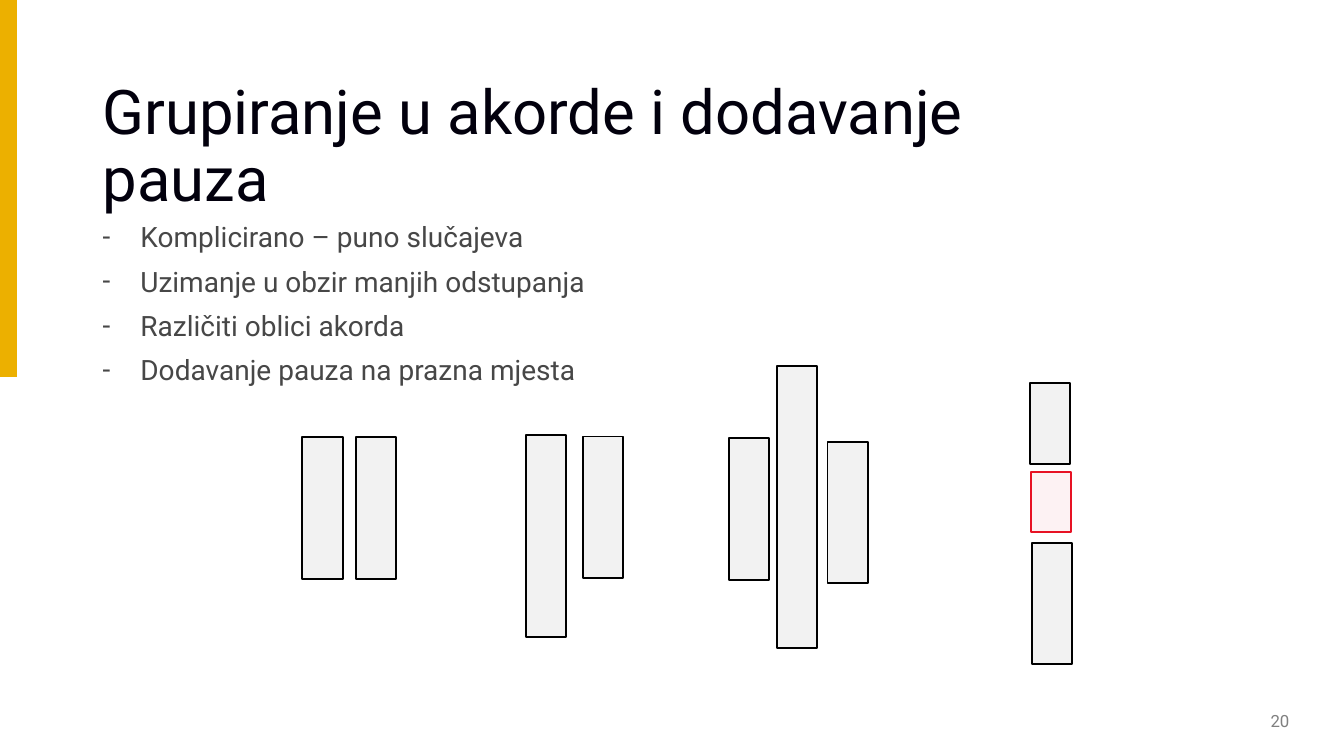
from lxml import etree
from pptx import Presentation
from pptx.dml.color import RGBColor
from pptx.enum import shapes, text
from pptx.oxml import ns
from pptx.util import Pt

FONT = "Roboto"
BLACK, RED, GOLD = "000000", "E71224", "ECB000"
TITLE = "Grupiranje u akorde i dodavanje pauza"
POINTS = [
    "Komplicirano – puno slučajeva",
    "Uzimanje u obzir manjih odstupanja",
    "Različiti oblici akorda",
    "Dodavanje pauza na prazna mjesta",
]
PAGE_NUMBER = "20"

# Each note: left, top, height, colour
NOTE_WIDTH = 28.8
CHORD_CASES = {
    "equal": [(216, 312.5, 100.8, BLACK), (254.2, 312.5, 100.8, BLACK)],
    "longer first": [(375.8, 311, 144, BLACK), (416.2, 311.8, 100.8, BLACK)],
    "longer middle": [(520.6, 313.2, 100.8, BLACK), (555.1, 261.4, 201.6, BLACK),
                      (591.1, 315.4, 100.8, BLACK)],
    "rest in gap": [(737.3, 388.1, 86.4, BLACK), (735.8, 273.6, 57.6, BLACK),
                    (736.6, 337, 43.2, RED)],
}


def rgb(value):
    return RGBColor.from_string(value)


def add_rect(left, top, width, height, fill):
    rect = slide.shapes.add_shape(shapes.MSO_SHAPE.RECTANGLE,
                                  Pt(left), Pt(top), Pt(width), Pt(height))
    rect.shadow.inherit = False
    rect.fill.solid()
    rect.fill.fore_color.rgb = rgb(fill)
    rect.line.fill.background()
    return rect


def add_note(left, top, height, color):
    """Outlined bar with a 5 % tint of its own colour."""
    note = add_rect(left, top, NOTE_WIDTH, height, color)
    tint = note.fill._xPr.find(".//" + ns.qn("a:srgbClr"))
    etree.SubElement(tint, ns.qn("a:alpha"), val="5000")
    note.line.color.rgb = rgb(color)
    note.line.width = Pt(1.42)


def add_text(left, top, width, height, lines, size, color, spacing=1.0):
    box = slide.shapes.add_textbox(Pt(left), Pt(top), Pt(width), Pt(height))
    frame = box.text_frame
    frame.word_wrap = True
    frame.text = "\n".join(lines)
    for paragraph in frame.paragraphs:
        paragraph.line_spacing = spacing
        for run in paragraph.runs:
            run.font.name = FONT
            run.font.size = Pt(size)
            run.font.color.rgb = rgb(color)
    return frame


def add_dashes(frame, indent, gap):
    for index, paragraph in enumerate(frame.paragraphs):
        paragraph.space_before = Pt(gap if index else 0)
        properties = paragraph._p.get_or_add_pPr()
        properties.set("marL", str(Pt(indent)))
        properties.set("indent", str(-Pt(indent)))
        etree.SubElement(properties, ns.qn("a:buFont"), typeface=FONT)
        etree.SubElement(properties, ns.qn("a:buChar"), char="-")


prs = Presentation()
prs.slide_width, prs.slide_height = Pt(960), Pt(540)
slide = prs.slides.add_slide(prs.slide_layouts[6])

add_rect(0, 0, 12.2, 269.3, GOLD)
add_dashes(add_text(66.2, 156.2, 557.3, 177.8, POINTS, 20, "474747", 0.9), 27, 10)
add_text(66.2, 54.7, 727.9, 101.5, [TITLE], 44, "02000D", 0.9)

page = add_text(712.1, 500.4, 216, 28.8, [PAGE_NUMBER], 12, "808080")
page.vertical_anchor = text.MSO_ANCHOR.MIDDLE
page.paragraphs[0].alignment = text.PP_ALIGN.RIGHT

for notes in CHORD_CASES.values():
    for note in notes:
        add_note(*note)

prs.save("out.pptx")
